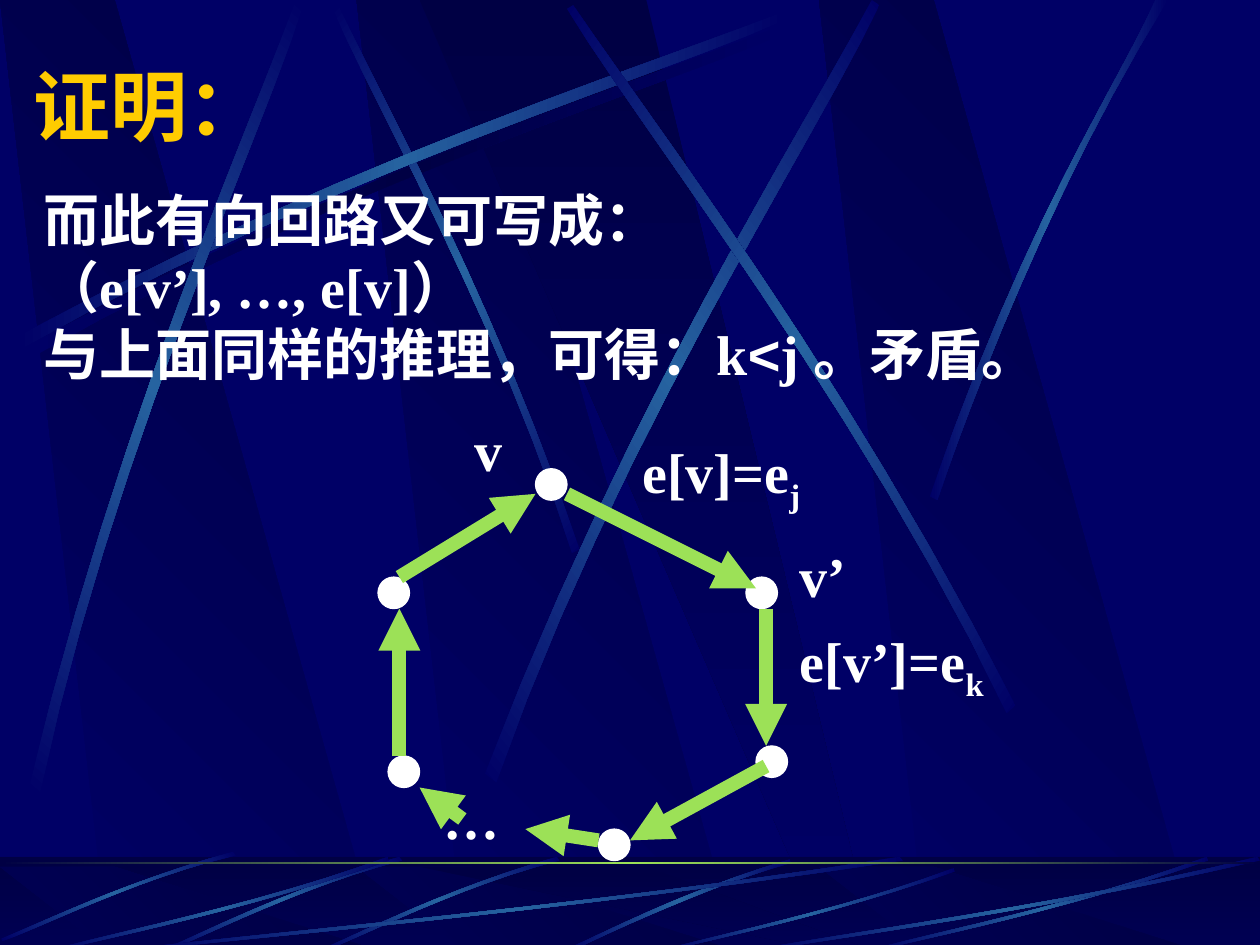
import copy
import dataclasses
import pptx
import pptx.dml.color
import pptx.enum.shapes
import pptx.enum.text
import pptx.oxml
import pptx.oxml.ns
import pptx.util

Inches = pptx.util.Inches
Pt = pptx.util.Pt
RGBColor = pptx.dml.color.RGBColor
Kind = pptx.enum.shapes.MSO_SHAPE
qn = pptx.oxml.ns.qn

NAVY = RGBColor(0x00, 0x00, 0x66)
DARK = RGBColor(0x00, 0x00, 0x44)
TEAL = RGBColor(0x26, 0x63, 0xA0)
LIME = RGBColor(0x9C, 0xE1, 0x57)
GOLD = RGBColor(0xFF, 0xCC, 0x00)
WHITE = RGBColor(0xFF, 0xFF, 0xFF)
SERIF = "Times New Roman"
STEPS = 12
NODE = 0.25


@dataclasses.dataclass
class Streak:
    there: tuple
    back: tuple
    turn: float = 0
    hues: tuple = (NAVY, TEAL, NAVY)


@dataclasses.dataclass
class Label:
    box: tuple
    lines: list
    size: int = 32
    color: RGBColor = WHITE
    middle: bool = False


@dataclasses.dataclass
class Arrow:
    start: tuple
    end: tuple


BEAMS = [
    Streak((0.2, 2.75, 2.84, 1.34, 5.24, 0.59, 6.26, 0.18),
           (6.29, 0.24, 5.28, 0.69, 2.54, 1.51, 0.23, 2.85), hues=(NAVY, DARK, NAVY)),
    Streak((4.6, 4.36, 3.91, 2.34, 3.02, 0.77, 2.69, 0.05),
           (2.64, 0.07, 2.95, 0.79, 3.98, 2.58, 4.54, 4.39), 45),
    Streak((0.14, 2.67, 2.78, 1.25, 5.18, 0.51, 6.2, 0.1),
           (6.23, 0.16, 5.22, 0.61, 2.48, 1.43, 0.17, 2.77)),
    Streak((0.23, 6.25, 0.93, 3.34, 1.97, 1.05, 2.34, 0.02),
           (2.41, 0.04, 2.07, 1.09, 0.86, 3.68, 0.32, 6.29), 311.7),
    Streak((3.85, 6.14, 4.98, 3.2, 6.38, 1.02, 6.92, 0),
           (6.98, 0.04, 6.49, 1.08, 4.86, 3.55, 3.94, 6.21), 321.6),
    Streak((8.06, 5.6, 6.7, 2.93, 5.16, 0.95, 4.55, 0.04),
           (4.5, 0.07, 5.07, 1.01, 6.85, 3.25, 7.99, 5.66), 34.8),
    Streak((7.38, 3.94, 8.14, 1.73, 8.88, 0.66, 9.17, 0),
           (9.27, 0, 8.36, 1.45, 7.69, 3.22, 7.44, 3.97)),
]
BLADES = [
    Streak((6.27, 6.82, 5.37, 7.09, 4.77, 7.42, 4.48, 7.54),
           (4.53, 7.55, 4.9, 7.37, 5.71, 7, 6.28, 6.85)),
    Streak((4.42, 6.8, 3.55, 7.05, 2.87, 7.4, 2.56, 7.53),
           (2.57, 7.55, 2.88, 7.43, 3.65, 7.03, 4.44, 6.83), 314.9),
    Streak((3.17, 6.8, 2.3, 7.05, 1.62, 7.4, 1.31, 7.53),
           (1.32, 7.55, 1.63, 7.43, 2.4, 7.03, 3.19, 6.83), 314.9),
    Streak((1.85, 6.76, 0.98, 7, 0.32, 7.33, 0.01, 7.45),
           (0.02, 7.47, 0.33, 7.36, 1.09, 6.97, 1.87, 6.79), 314.9),
]
SWEEPS = [(1, 6.8, 6.17), (0.42, 6.8, 2.67), (5.27, 6.89, 2.31), (6.92, 6.8, 2.67), (6, 6.8, 4)]
NODES = [(4.25, 3.72), (5.92, 4.58), (6, 5.92), (3, 4.58), (3.08, 6), (4.75, 6.58)]
ARROWS = [
    Arrow((4.5, 3.92), (6, 4.67)), Arrow((6.08, 4.83), (6.08, 5.92)),
    Arrow((6.08, 6.08), (5, 6.67)), Arrow((4.75, 6.67), (4.17, 6.58)),
    Arrow((3.67, 6.5), (3.33, 6.25)), Arrow((3.17, 6), (3.17, 4.83)),
    Arrow((3.17, 4.58), (4.25, 3.92)),
]
TEXTS = [
    Label((0.17, 0.41, 8.5, 0.84), [["证明："]], 44, GOLD, True),
    Label((0.25, 1.42, 9.58, 5.58), [["而此有向回路又可写成："], ["（e[v’], …, e[v]）"],
                                     ["与上面同样的推理，可得：k", "<", "j 。矛盾。"]]),
    Label((3.42, 6.17, 0.64, 0.64), [["…"]]),
    Label((3.67, 3.25, 0.42, 0.64), [["v"]]),
    Label((6.25, 4.25, 0.83, 0.64), [["v’"]]),
    Label((5, 3.42, 1.58, 0.71), [["e[v]=e", "_j"]]),
    Label((6.25, 4.92, 1.83, 0.71), [["e[v’]=e", "_k"]]),
]


def shade(shape, hues: tuple, turn: float) -> None:
    shape.shadow.inherit = False
    shape.line.fill.background()
    shape.fill.gradient()
    shape.fill.gradient_angle = (360 - turn) % 360
    stops = shape._element.spPr.find(qn("a:gradFill")).find(qn("a:gsLst"))
    if len(hues) == 3:
        stops.append(copy.deepcopy(stops[-1]))
    for i, (stop, hue) in enumerate(zip(shape.fill.gradient_stops, hues)):
        stop.color.rgb = hue
        stop.position = i / (len(hues) - 1)


def outline(slide, points: list, hues: tuple, turn: float) -> None:
    spots = [(Inches(x), Inches(y)) for x, y in points]
    build = slide.shapes.build_freeform(*spots[0])
    build.add_line_segments(spots[1:], close=True)
    shade(build.convert_to_shape(), hues, turn)


def curve(ctrl: tuple) -> list:
    points = []
    for i in range(STEPS + 1):
        t = i / STEPS
        parts = ((1 - t) ** 3, 3 * t * (1 - t) ** 2, 3 * t * t * (1 - t), t ** 3)
        points.append(tuple(sum(w * c for w, c in zip(parts, ctrl[k::2])) for k in (0, 1)))
    return points


def draw_streak(slide, streak: Streak) -> None:
    outline(slide, curve(streak.there) + curve(streak.back), streak.hues, streak.turn)


def sweep(left: float, top: float, width: float) -> Streak:
    high = 7.55 - top

    def place(*pairs):
        return tuple(v for x, y in pairs for v in (left + x * width, top + y * high))

    return Streak(place((1, 0.04), (0.57, 0.57), (0.17, 0.85), (0.005, 1)),
                  place((0, 0.98), (0.17, 0.81), (0.62, 0.5), (0.995, 0)))


def panels(slide, top: float, high: float) -> None:
    for left in (2.83, 0, 6.5):
        outline(slide, [(left + 0.86, top + high), (left + 3.02, top + high),
                        (left + 0.91, top), (left, top)], (NAVY, DARK), 315)
    outline(slide, [(3.33, top), (6.58, top + high), (6.94, top + high), (5.13, top)],
            (DARK, NAVY), 90)


def block(slide, kind, left: float, top: float, width: float, high: float):
    shape = slide.shapes.add_shape(kind, Inches(left), Inches(top), Inches(width), Inches(high))
    shape.shadow.inherit = False
    return shape


def draw_node(slide, left: float, top: float) -> None:
    dot = block(slide, Kind.OVAL, left, top, NODE, NODE)
    dot.fill.solid()
    dot.fill.fore_color.rgb = WHITE
    dot.line.color.rgb = WHITE
    dot.line.width = Pt(0.75)


def draw_arrow(slide, arrow: Arrow) -> None:
    ends = [Inches(v) for v in arrow.start + arrow.end]
    link = slide.shapes.add_connector(pptx.enum.shapes.MSO_CONNECTOR.STRAIGHT, *ends)
    link.line.color.rgb = LIME
    link.line.width = Pt(8)
    pptx.oxml.ns.qn("a:ln")
    line = link.line._get_or_add_ln()
    line.append(line.makeelement(qn("a:tailEnd"), {"type": "triangle"}))
    props = link._element.spPr
    props.append(props.makeelement(qn("a:effectLst"), {}))


def draw_label(slide, label: Label) -> None:
    frame = slide.shapes.add_textbox(*[Inches(v) for v in label.box]).text_frame
    frame.word_wrap = True
    if label.middle:
        frame.vertical_anchor = pptx.enum.text.MSO_ANCHOR.MIDDLE
    for i, parts in enumerate(label.lines):
        para = frame.add_paragraph() if i else frame.paragraphs[0]
        para.font.size = Pt(label.size)
        para.font.bold = True
        para.font.color.rgb = label.color
        if "<" not in parts:
            para.font.name = SERIF
        for part in parts:
            run = para.add_run()
            run.text = part.lstrip("_")
            if part.startswith("_"):
                run._r.get_or_add_rPr().set("baseline", "-25000")
            if "<" in parts:
                run.font.name = "Arial" if part == "<" else SERIF


def main() -> None:
    deck = pptx.Presentation()
    deck.slide_width, deck.slide_height = Inches(10), Inches(7.5)
    slide = deck.slides.add_slide(deck.slide_layouts[6])
    slide.background.fill.solid()
    slide.background.fill.fore_color.rgb = NAVY
    panels(slide, 0, 7.52)
    for beam in BEAMS:
        draw_streak(slide, beam)
    shade(block(slide, Kind.RECTANGLE, 0, 6.8, 10, 0.75), (DARK, NAVY), 90)
    panels(slide, 6.88, 0.67)
    veil = block(slide, Kind.RECTANGLE, 0, 6.8, 10, 0.75)
    veil.fill.solid()
    veil.fill.fore_color.rgb = DARK
    veil.line.fill.background()
    tint = veil._element.spPr.find(qn("a:solidFill"))[0]
    tint.append(tint.makeelement(qn("a:alpha"), {"val": "50000"}))
    for blade in BLADES + [sweep(*place) for place in SWEEPS]:
        draw_streak(slide, blade)
    shade(block(slide, Kind.RECTANGLE, 0, 6.84, 10, 0.02), (DARK, LIME, DARK), 0)
    for label in TEXTS:
        draw_label(slide, label)
    for spot in NODES:
        draw_node(slide, *spot)
    for arrow in ARROWS:
        draw_arrow(slide, arrow)
    deck.save("out.pptx")


if __name__ == "__main__":
    main()
